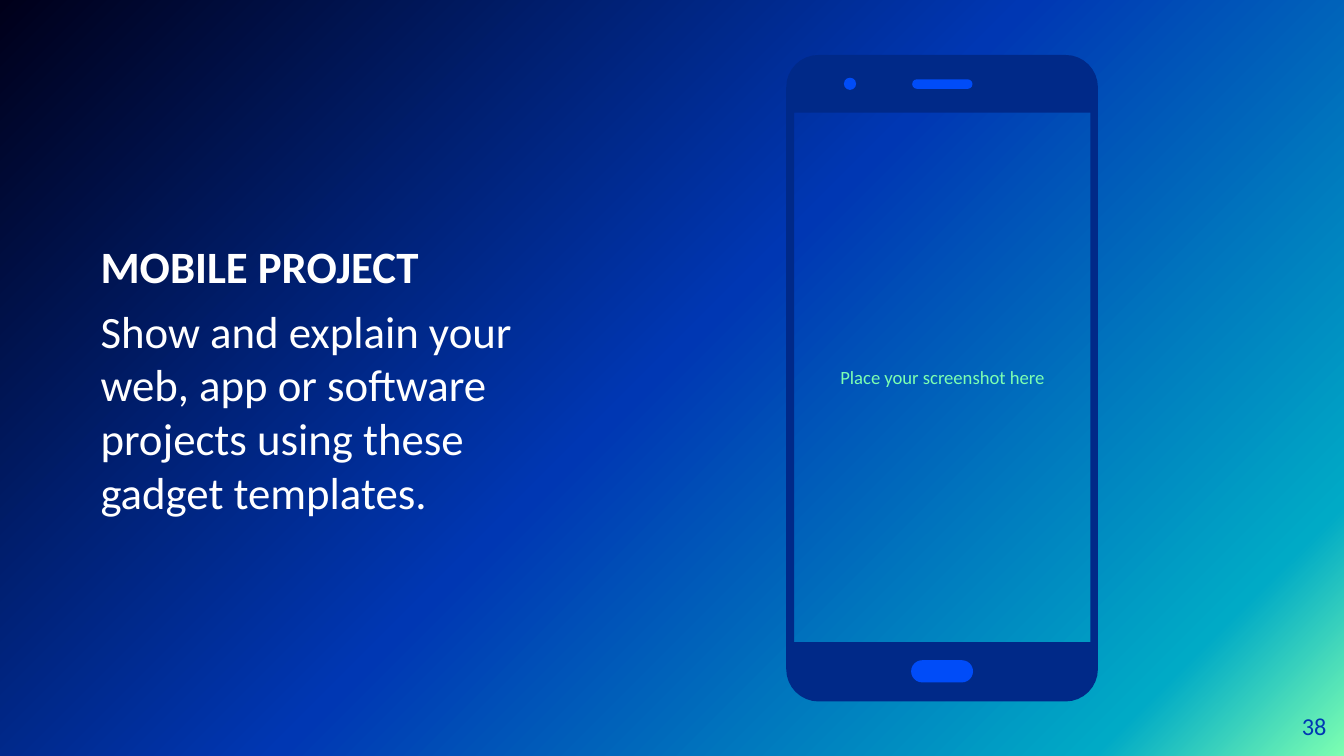
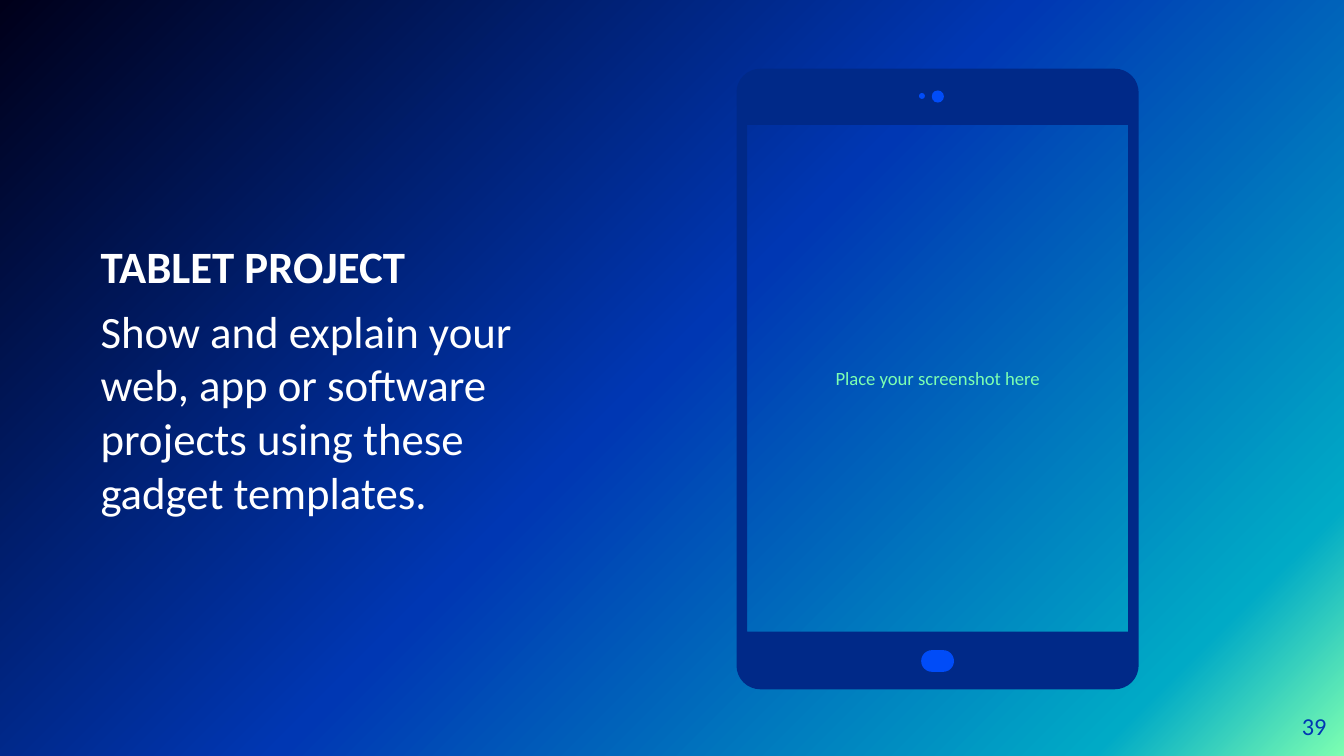
from math import cos, radians, sin

from lxml import etree
from pptx import Presentation
from pptx.dml.color import RGBColor
from pptx.enum.shapes import MSO_SHAPE
from pptx.enum.text import MSO_ANCHOR, MSO_AUTO_SIZE, PP_ALIGN
from pptx.oxml.ns import qn
from pptx.util import Cm, Pt

LEFT, CENTER, RIGHT = PP_ALIGN.LEFT, PP_ALIGN.CENTER, PP_ALIGN.RIGHT
MIDDLE = MSO_ANCHOR.MIDDLE
NO_AUTOFIT = MSO_AUTO_SIZE.NONE
ROUNDED, OVAL = MSO_SHAPE.ROUNDED_RECTANGLE, MSO_SHAPE.OVAL

FONT = "Calibri"
WHITE, MINT, BLUE, NAVY, BRIGHT = "FFFFFF", "7DFFB1", "0037B3", "002988", "004CF8"
BACKDROP = [(0, MINT), (12, "00AAC6"), (51, BLUE), (100, "00001A")]

# Boxes are left, top, width, height in centimetres.
BODY_BOX = (1.9, 1.04, 8.05, 12.22)
NUMBER_BOX = (23.55, 13.18, 1.52, 1.09)
EXPLANATION = "Show and explain your web, app or software projects using these gadget templates."
HINT = "Place your screenshot here"

SLIDES = [
    {
        "heading": "MOBILE PROJECT",
        "number": 38,
        "frame": (14.86, 1.04, 5.89, 12.22),
        "radius": 0.61,
        "screen": (15.01, 2.13, 5.6, 10.01),
        "details": [
            (ROUNDED, (17.22, 12.48, 1.17, 0.42)),
            (OVAL, (15.95, 1.47, 0.23, 0.23)),
            (ROUNDED, (17.24, 1.5, 1.14, 0.18)),
        ],
    },
    {
        "heading": "TABLET PROJECT",
        "number": 39,
        "frame": (13.92, 1.3, 7.6, 11.73),
        "radius": 0.45,
        "screen": (14.12, 2.36, 7.2, 9.58),
        "details": [
            (ROUNDED, (17.41, 12.29, 0.62, 0.41)),
            (OVAL, (17.37, 1.76, 0.11, 0.11)),
            (OVAL, (17.61, 1.71, 0.23, 0.23)),
        ],
    },
]


def rgb(value):
    return RGBColor.from_string(value)


def set_attrs(target, values):
    for name, value in values.items():
        setattr(target, name, value)


def to_cm(points):
    return [(Cm(x), Cm(y)) for x, y in points]


def rounded_outline(box, radius, steps=8):
    """Return the points of a rounded rectangle, clockwise from its left side."""
    x, y, w, h = box
    left, right = x + radius, x + w - radius
    top, bottom = y + radius, y + h - radius
    centres = [(left, top), (right, top), (right, bottom), (left, bottom)]
    points = []
    for corner, (cx, cy) in enumerate(centres):
        for step in range(steps + 1):
            a = radians(180 + 90 * (corner + step / steps))
            points.append((cx + radius * cos(a), cy + radius * sin(a)))
    return points


class Deck:
    def __init__(self):
        self.prs = Presentation()
        set_attrs(self.prs, {"slide_width": Cm(25.4), "slide_height": Cm(14.29)})
        self.s = None
        self.set_backdrop()

    def set_backdrop(self):
        fill = self.prs.slide_master.background.fill
        fill.gradient()
        fill.gradient_angle = 135
        stops = self.prs.slide_master.element.find(".//" + qn("a:gsLst"))
        for stop in list(stops):
            stops.remove(stop)
        for percent, color in BACKDROP:
            stop = etree.SubElement(stops, qn("a:gs"), pos=str(percent * 1000))
            etree.SubElement(stop, qn("a:srgbClr"), val=color)

    def new_slide(self):
        """Start a slide that keeps only the layout's body placeholder."""
        self.s = self.prs.slides.add_slide(self.prs.slide_layouts[1])
        title = self.s.shapes.title.element
        title.getparent().remove(title)

    def set_text(self, sp, lines, size, color, align=LEFT, inset=0, space=0):
        """Fill a text shape with (text, bold) lines."""
        tf = sp.text_frame
        margins = {f"margin_{side}": Cm(inset) for side in ("left", "top", "right", "bottom")}
        set_attrs(tf, {"word_wrap": True, "auto_size": NO_AUTOFIT,
                       "vertical_anchor": MIDDLE, **margins})
        for i, (text, bold) in enumerate(lines):
            p = tf.add_paragraph() if i else tf.paragraphs[0]
            set_attrs(p, {"alignment": align, "space_before": Pt(space)})
            r = p.add_run()
            r.text = text
            set_attrs(r.font, {"name": FONT, "size": Pt(size), "bold": bold})
            r.font.color.rgb = rgb(color)

    def body(self, heading, text):
        sp = self.s.placeholders[1]
        set_attrs(sp, dict(zip(("left", "top", "width", "height"), map(Cm, BODY_BOX))))
        self.set_text(sp, [(heading, True), (text, False)], 24, WHITE, space=6)
        for p in sp.text_frame.paragraphs:
            pPr = p._p.get_or_add_pPr()
            pPr.set("marL", "0")
            pPr.set("indent", "0")
            etree.SubElement(pPr, qn("a:buNone"))

    def text(self, box, text, size, color, **style):
        sp = self.s.shapes.add_textbox(*map(Cm, box))
        self.set_text(sp, [(text, False)], size, color, **style)

    def paint(self, sp, color):
        sp.shadow.inherit = False
        sp.fill.solid()
        sp.fill.fore_color.rgb = rgb(color)
        sp.line.fill.background()

    def device(self, frame, radius, screen, details):
        """Draw a gadget whose frame is cut open at the screen."""
        shapes = self.s.shapes.add_group_shape().shapes
        outline = to_cm(rounded_outline(frame, radius))
        x, y, w, h = screen
        opening = to_cm([(x, y), (x, y + h), (x + w, y + h), (x + w, y)])
        builder = shapes.build_freeform(*outline[0])
        builder.add_line_segments(outline[1:], close=True)
        builder.move_to(*opening[0])
        builder.add_line_segments(opening[1:], close=True)
        self.paint(builder.convert_to_shape(), NAVY)
        for kind, box in details:
            sp = shapes.add_shape(kind, *map(Cm, box))
            if kind == ROUNDED:
                sp.adjustments[0] = 0.5
            self.paint(sp, BRIGHT)


def main():
    deck = Deck()
    for item in SLIDES:
        deck.new_slide()
        deck.body(item["heading"], EXPLANATION)
        deck.text(item["screen"], HINT, 10, MINT, align=CENTER, inset=0.25)
        deck.text(NUMBER_BOX, str(item["number"]), 13, BLUE, align=RIGHT)
        deck.device(item["frame"], item["radius"], item["screen"], item["details"])
    deck.prs.save("out.pptx")


if __name__ == "__main__":
    main()
